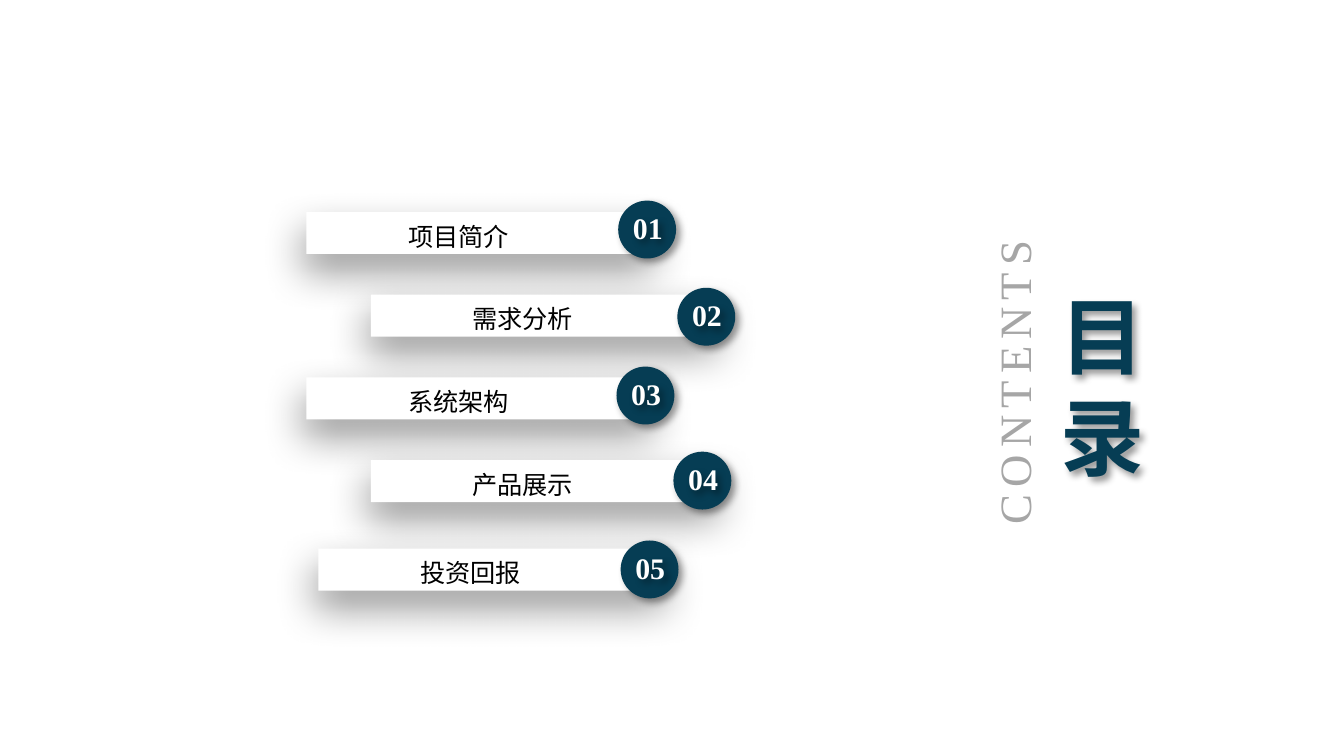
"""Build a contents slide with five numbered bars and a vertical title."""
from lxml import etree
from pptx import Presentation
from pptx.dml.color import RGBColor
from pptx.enum import shapes, text
from pptx.oxml import ns
from pptx.util import Pt

CHINESE, LATIN = "Noto Sans CJK SC", "Times New Roman"
NAVY, WHITE, GREY, BLACK = "063D54", "FFFFFF", "A6A6A6", "000000"
BAR_SHADOW = (22, 10, 101)
BADGE_SHADOW = (4, 3, 45)
BAR_WIDTH, BAR_HEIGHT, BADGE_SIZE = 188, 22.5, 31

ENTRIES = [
    ("项目简介", (164.2, 113.6), (331.2, 107.5)),
    ("需求分析", (198.7, 157.9), (362.9, 154.2)),
    ("系统架构", (164.2, 202.2), (330.3, 196.4)),
    ("产品展示", (198.7, 246.5), (360.8, 242)),
    ("投资回报", (170.6, 294), (332.5, 289.6)),
]


def color(value):
    return RGBColor.from_string(value)


def add_shadow(shape, blur, distance, angle):
    shape.shadow.inherit = False
    effects = shape.element.spPr.find(ns.qn("a:effectLst"))
    outer = etree.SubElement(
        effects, ns.qn("a:outerShdw"), blurRad=str(Pt(blur)),
        dist=str(Pt(distance)), dir=str(angle * 60000), algn="ctr", rotWithShape="0")
    shade = etree.SubElement(outer, ns.qn("a:srgbClr"), val=BLACK)
    etree.SubElement(shade, ns.qn("a:alpha"), val="40000")


def add_box(parent, kind, left, top, width, height, fill):
    shape = parent.add_shape(kind, Pt(left), Pt(top), Pt(width), Pt(height))
    shape.fill.solid()
    shape.fill.fore_color.rgb = color(fill)
    shape.line.fill.background()
    return shape


def write(shape, words, size, font, ink, bold=False, wrap=True, align=text.PP_ALIGN.CENTER):
    frame = shape.text_frame
    frame.text = words
    frame.word_wrap = wrap
    frame.vertical_anchor = text.MSO_ANCHOR.MIDDLE
    paragraph = frame.paragraphs[0]
    paragraph.alignment = align
    run = paragraph.runs[0]
    run.font.size = Pt(size)
    run.font.bold = bold
    run.font.color.rgb = color(ink)
    run.font.name = font
    properties = run.font._element
    etree.SubElement(properties, ns.qn("a:ea"), typeface=font)
    return paragraph


def add_bar(slide, label, left, top):
    bar = add_box(slide.shapes, shapes.MSO_SHAPE.RECTANGLE,
                  left, top, BAR_WIDTH, BAR_HEIGHT, WHITE)
    add_shadow(bar, *BAR_SHADOW)
    frame = bar.text_frame
    frame.margin_left, frame.margin_right = Pt(6.5), Pt(31.7)
    frame.margin_top = frame.margin_bottom = 0
    write(bar, label, 13.5, CHINESE, BLACK).line_spacing = 1.2


def add_badge(slide, number, left, top):
    group = slide.shapes.add_group_shape()
    circle = add_box(group.shapes, shapes.MSO_SHAPE.OVAL,
                     left, top, BADGE_SIZE, BADGE_SIZE, NAVY)
    add_shadow(circle, *BADGE_SHADOW)
    label = group.shapes.add_textbox(Pt(left), Pt(top - 0.7), Pt(31.7), Pt(30.2))
    add_shadow(label, *BADGE_SHADOW)
    write(label, f"{number:02}", 16, LATIN, WHITE, bold=True, wrap=False)


def add_title(slide):
    contents = slide.shapes.add_textbox(Pt(440.6), Pt(187.2), Pt(204.5), Pt(35.3))
    contents.rotation = 270
    paragraph = write(contents, "CONTENTS", 24, LATIN, GREY, wrap=False)
    paragraph.runs[0].font._element.set("spc", "380")

    title = slide.shapes.add_textbox(Pt(560.9), Pt(166.3), Pt(33.1), Pt(70.6))
    add_shadow(title, *BADGE_SHADOW)
    title.text_frame.margin_top = Pt(13.2)
    paragraph = write(title, "目录", 45, CHINESE, NAVY, bold=True, align=text.PP_ALIGN.LEFT)
    paragraph.line_spacing = Pt(54)


def main():
    presentation = Presentation()
    presentation.slide_width, presentation.slide_height = Pt(720), Pt(405)
    slide = presentation.slides.add_slide(presentation.slide_layouts[6])
    for label, bar_place, _ in ENTRIES:
        add_bar(slide, label, *bar_place)
    add_title(slide)
    for number, (_, _, badge_place) in enumerate(ENTRIES, 1):
        add_badge(slide, number, *badge_place)
    presentation.save("out.pptx")


if __name__ == "__main__":
    main()
